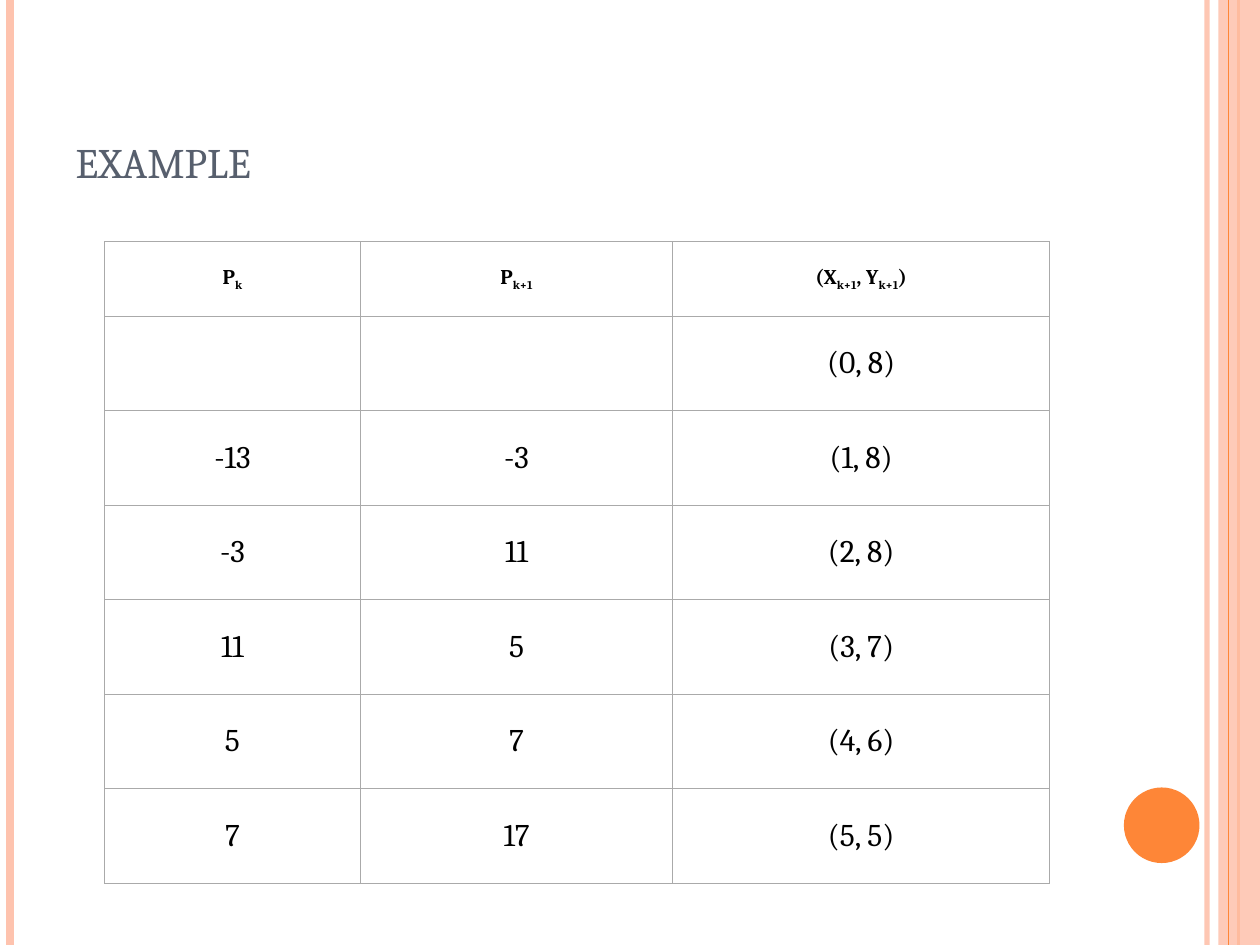
import pptx
import pptx.util
import pptx.dml.color
import pptx.enum.shapes
import pptx.enum.text
import pptx.oxml
import pptx.oxml.ns
from pptx.util import Inches

COLORS = {"peach": "FEC3AE", "orange": "FE8637", "title": "575F6D",
          "text": "000000", "cell": "FFFFFF", "border": "AAAAAA"}
FONT = "Cambria"

# Content: header cells alternate normal and subscript text
TITLE = "example"
HEADERS = [["P", "k"], ["P", "k+1"], ["(X", "k+1", ", Y", "k+1", ")"]]
ROWS = [
    ("", "", "(0, 8)"),
    ("-13", "-3", "(1, 8)"),
    ("-3", "11", "(2, 8)"),
    ("11", "5", "(3, 7)"),
    ("5", "7", "(4, 6)"),
    ("7", "17", "(5, 5)"),
]
COLUMN_WIDTHS = [2.03, 2.48, 2.99]
ROW_HEIGHTS = [0.59] + [0.75] * len(ROWS)

# Vertical lines: x, color, width in points, opacity in percent
LINES_BEHIND_BAND = [(9.58, "peach", 3, 93), (0.08, "peach", 4.5, 100),
                     (9.83, "orange", 1.5, 100)]
LINES_ABOVE_BAND = [(9.75, "orange", 0.75, 100)]


def rgb(name):
    return pptx.dml.color.RGBColor.from_string(COLORS[name])


def set_opacity(element, percent):
    color = element.find(".//" + pptx.oxml.ns.qn("a:srgbClr"))
    alpha = color.makeelement(pptx.oxml.ns.qn("a:alpha"), {"val": str(percent * 1000)})
    color.append(alpha)


def add_text(paragraph, text, size=18, color="text", bold=False, **attributes):
    run = paragraph.add_run()
    run.text = text
    run.font.size = pptx.util.Pt(size)
    run.font.name = FONT
    run.font.bold = bold
    run.font.color.rgb = rgb(color)
    for name, value in attributes.items():
        run.font._element.set(name, value)


def add_vertical_line(slide, x, color, width, opacity):
    line = slide.shapes.add_connector(
        pptx.enum.shapes.MSO_CONNECTOR.STRAIGHT,
        Inches(x), Inches(0), Inches(x), Inches(7.5))
    line.line.color.rgb = rgb(color)
    line.line.width = pptx.util.Pt(width)
    properties = line._element.spPr
    if opacity < 100:
        set_opacity(properties, opacity)
    properties.append(properties.makeelement(pptx.oxml.ns.qn("a:effectLst"), {}))


def add_plain_shape(slide, kind, left, top, width, height, color):
    shape = slide.shapes.add_shape(
        kind, Inches(left), Inches(top), Inches(width), Inches(height))
    shape.shadow.inherit = False
    shape.fill.solid()
    shape.fill.fore_color.rgb = rgb(color)
    shape.line.fill.background()
    return shape


def format_cell(cell):
    properties = cell._tc.get_or_add_tcPr()
    for side in ("lnL", "lnR", "lnT", "lnB"):
        properties.append(pptx.oxml.parse_xml(
            f'<a:{side} {pptx.oxml.ns.nsdecls("a")} w="{pptx.util.Pt(0.75)}"><a:solidFill>'
            f'<a:srgbClr val="{COLORS["border"]}"/></a:solidFill></a:{side}>'))
    cell.fill.solid()
    cell.fill.fore_color.rgb = rgb("cell")
    cell.vertical_anchor = pptx.enum.text.MSO_ANCHOR.MIDDLE
    cell.margin_left = cell.margin_right = Inches(0.1)
    cell.margin_top = cell.margin_bottom = Inches(0.08)
    paragraph = cell.text_frame.paragraphs[0]
    paragraph.alignment = pptx.enum.text.PP_ALIGN.CENTER
    return paragraph


def add_decoration(slide):
    shapes = pptx.enum.shapes.MSO_SHAPE
    for line in LINES_BEHIND_BAND:
        add_vertical_line(slide, *line)
    band = add_plain_shape(slide, shapes.RECTANGLE, 9.67, 0, 0.33, 7.5, "peach")
    set_opacity(band._element.spPr, 87)
    for line in LINES_ABOVE_BAND:
        add_vertical_line(slide, *line)
    add_plain_shape(slide, shapes.OVAL, 8.92, 6.25, 0.6, 0.6, "orange")


def add_title(slide):
    title = slide.shapes.title
    title.left, title.top = Inches(0.5), Inches(0.3)
    title.width, title.height = Inches(8.17), Inches(1.25)
    frame = title.text_frame
    frame.auto_size = pptx.enum.text.MSO_AUTO_SIZE.NONE
    frame.vertical_anchor = pptx.enum.text.MSO_ANCHOR.BOTTOM
    paragraph = frame.paragraphs[0]
    paragraph.alignment = pptx.enum.text.PP_ALIGN.LEFT
    add_text(paragraph, TITLE, size=30, color="title", cap="small")


def add_example_table(slide):
    table = slide.shapes.add_table(
        len(ROW_HEIGHTS), len(COLUMN_WIDTHS), Inches(0.83), Inches(1.92),
        Inches(sum(COLUMN_WIDTHS)), Inches(sum(ROW_HEIGHTS))).table
    table.first_row = table.horz_banding = False
    for column, width in zip(table.columns, COLUMN_WIDTHS):
        column.width = Inches(width)
    for row, height in zip(table.rows, ROW_HEIGHTS):
        row.height = Inches(height)

    for column, parts in enumerate(HEADERS):
        paragraph = format_cell(table.cell(0, column))
        for index, part in enumerate(parts):
            baseline = "-25000" if index % 2 else "0"
            add_text(paragraph, part, size=12, bold=True, baseline=baseline)
    for row, values in enumerate(ROWS, start=1):
        for column, value in enumerate(values):
            paragraph = format_cell(table.cell(row, column))
            if value:
                add_text(paragraph, value)


def main():
    presentation = pptx.Presentation()
    presentation.slide_width, presentation.slide_height = Inches(10), Inches(7.5)
    slide = presentation.slides.add_slide(presentation.slide_layouts[5])
    add_decoration(slide)
    add_title(slide)
    add_example_table(slide)
    presentation.save("out.pptx")


if __name__ == "__main__":
    main()
